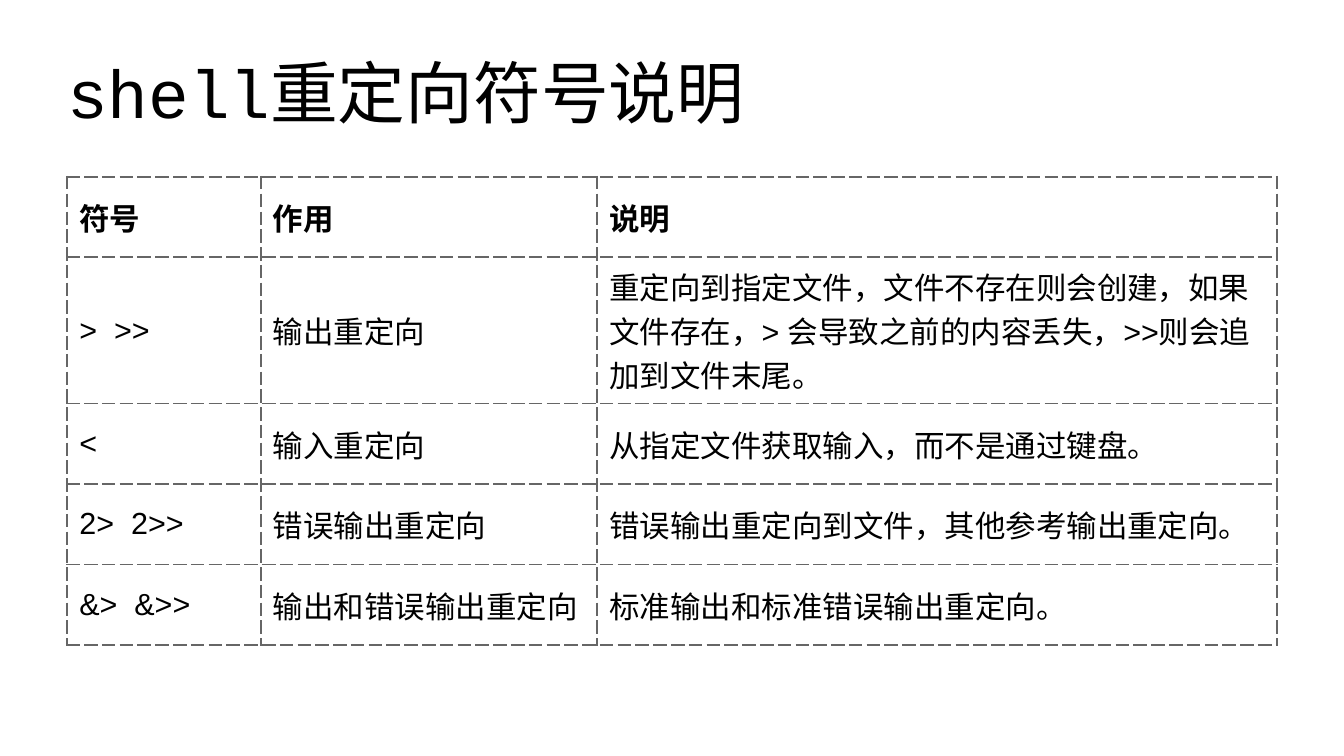
"""Build a slide with a table of shell redirection symbols."""
from lxml.etree import SubElement
from pptx import Presentation
from pptx.dml.color import RGBColor
from pptx.enum.text import MSO_ANCHOR as Anchor
from pptx.oxml.ns import qn
from pptx.util import Inches, Pt

TITLE = "shell重定向符号说明"
ROWS = [
    ("符号", "作用", "说明"),
    (">  >>", "输出重定向",
     "重定向到指定文件，文件不存在则会创建，如果文件存在，> 会导致之前的内容丢失，>>则会追加到文件末尾。"),
    ("<", "输入重定向", "从指定文件获取输入，而不是通过键盘。"),
    ("2>  2>>", "错误输出重定向", "错误输出重定向到文件，其他参考输出重定向。"),
    ("&>  &>>", "输出和错误输出重定向", "标准输出和标准错误输出重定向。"),
]
WIDTH, HEIGHT = 11.02, 6.2
MARGIN = WIDTH * 0.05
CONTENT_WIDTH = WIDTH * 0.9
COLUMN_SHARES = (0.16, 0.278, 0.562)
LINE_ROW, TALL_ROW = 0.66, 1.2
ROW_HEIGHTS = [LINE_ROW, TALL_ROW] + [LINE_ROW] * 3
INK, BORDER = "000000", "666666"


def color(value):
    return RGBColor.from_string(value)


def style(paragraph, face, size, bold=False):
    font = paragraph.font
    font.name, font.size, font.bold = face, Pt(size), bold
    font.color.rgb = color(INK)


def add_borders(cell):
    properties = cell._tc.get_or_add_tcPr()
    for side in ("lnL", "lnR", "lnT", "lnB"):
        border = SubElement(properties, qn(f"a:{side}"), w=str(Pt(1.13)))
        paint = SubElement(border, qn("a:solidFill"))
        SubElement(paint, qn("a:srgbClr"), val=BORDER)
        SubElement(border, qn("a:prstDash"), val="dash")


def add_title(slide):
    box = slide.shapes.add_textbox(
        Inches(MARGIN), Inches(HEIGHT * 0.04), Inches(CONTENT_WIDTH), Inches(1.01))
    frame = box.text_frame
    frame.word_wrap = True
    frame.vertical_anchor = Anchor.MIDDLE
    frame.margin_left = frame.margin_right = frame.margin_top = frame.margin_bottom = 0
    frame.text = TITLE
    style(frame.paragraphs[0], "Courier New", 40)


def add_symbols(slide):
    table = slide.shapes.add_table(
        len(ROWS), len(COLUMN_SHARES), Inches(MARGIN), Inches(1.45),
        Inches(CONTENT_WIDTH), Inches(sum(ROW_HEIGHTS))).table
    table.first_row = table.horz_banding = False
    for column, share in zip(table.columns, COLUMN_SHARES):
        column.width = Inches(CONTENT_WIDTH * share)
    for index, (row, height, texts) in enumerate(zip(table.rows, ROW_HEIGHTS, ROWS)):
        row.height = Inches(height)
        for cell, text in zip(row.cells, texts):
            cell.text = text
            cell.vertical_anchor = Anchor.MIDDLE
            add_borders(cell)
            cell.fill.background()
            style(cell.text_frame.paragraphs[0], "Arial", 18, bold=index == 0)


def main():
    deck = Presentation()
    deck.slide_width, deck.slide_height = Inches(WIDTH), Inches(HEIGHT)
    slide = deck.slides.add_slide(deck.slide_layouts[6])
    add_title(slide)
    add_symbols(slide)
    deck.save("out.pptx")


if __name__ == "__main__":
    main()
